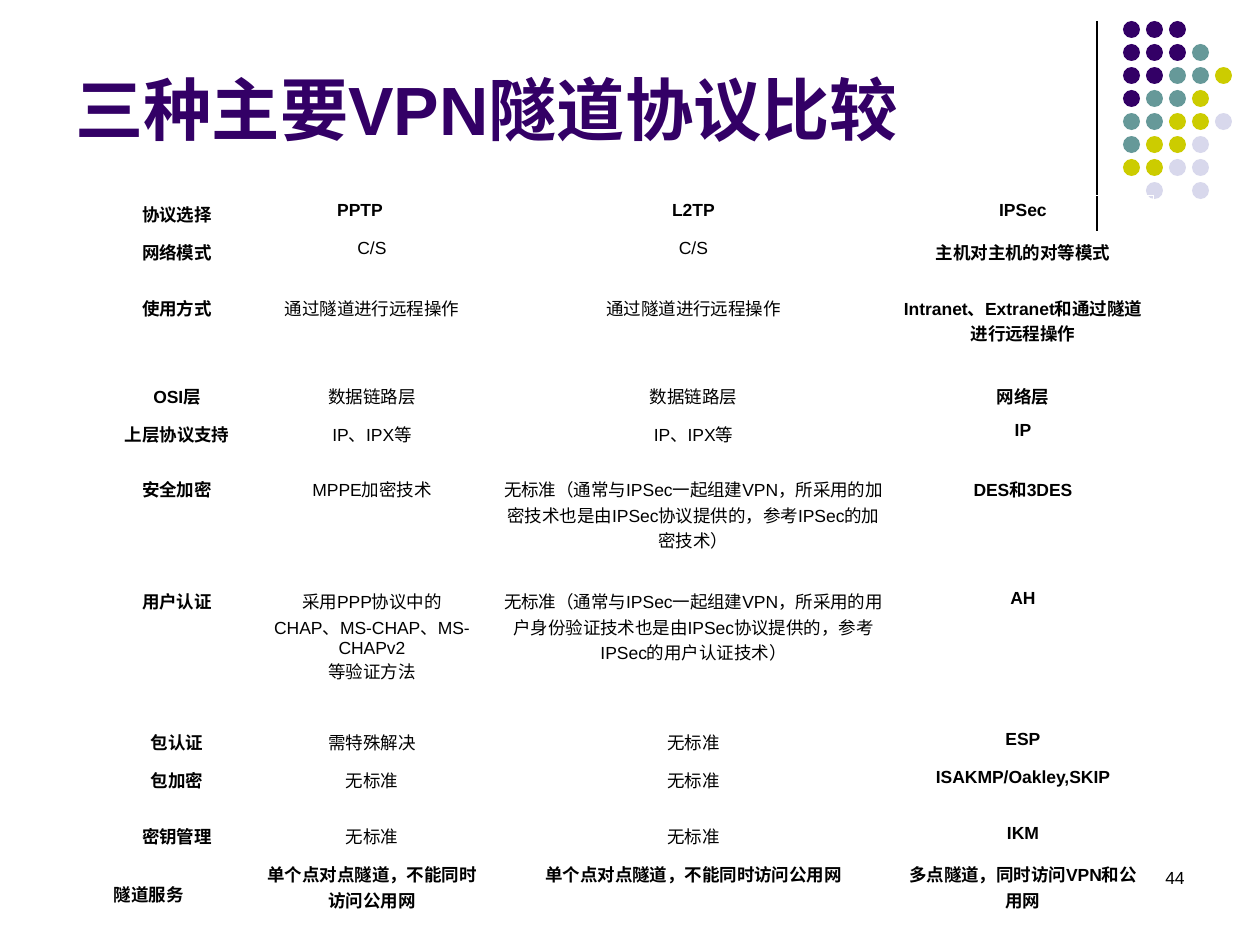
from lxml import etree
from pptx import Presentation
from pptx.dml.color import RGBColor
from pptx.enum.shapes import MSO_CONNECTOR, MSO_SHAPE
from pptx.enum.text import MSO_ANCHOR, PP_ALIGN
from pptx.oxml.ns import qn
from pptx.util import Pt

PX = 914400 // 126
FONT = "Arial"
BLACK, WHITE, PURPLE = "000000", "FFFFFF", "330066"

TITLE = "三种主要VPN隧道协议比较"
PAGE = "44"

DOT_COLORS = {"P": PURPLE, "T": "669999", "Y": "CCCC00", "L": "D8D8EC"}
DOT_ROWS = ["PPP", "PPPT", "PPTTY", "PTTY", "TTYYL", "TYYL", "YYLL", " L L"]
DOT_LEFT, DOT_TOP, DOT_PITCH, DOT_SIZE = 1123, 21, 23, 17

TABLE_LEFT, TABLE_TOP = 104, 195
COL_WIDTHS = [146, 244, 399, 260]
ROW_HEIGHTS = [38, 56, 88, 38, 56, 112, 141, 38, 56, 38, 84]
ROWS = [
    ("协议选择", "PPTP", "L2TP", "IPSec"),
    ("网络模式", "C/S", "C/S", "主机对主机的对等模式"),
    ("使用方式", "通过隧道进行远程操作", "通过隧道进行远程操作",
     "Intranet、Extranet和通过隧道\n进行远程操作"),
    ("OSI层", "数据链路层", "数据链路层", "网络层"),
    ("上层协议支持", "IP、IPX等", "IP、IPX等", "IP"),
    ("安全加密", "MPPE加密技术",
     "无标准（通常与IPSec一起组建VPN，所采用的加密技术也是由IPSec协议提供的，参考IPSec的加密技术）",
     "DES和3DES"),
    ("用户认证", "采用PPP协议中的\nCHAP、MS-CHAP、MS-CHAPv2\n等验证方法",
     "无标准（通常与IPSec一起组建VPN，所采用的用户身份验证技术也是由IPSec协议提供的，参考IPSec的用户认证技术）",
     "AH"),
    ("包认证", "需特殊解决", "无标准", "ESP"),
    ("包加密", "无标准", "无标准", "ISAKMP/Oakley,SKIP"),
    ("密钥管理", "无标准", "无标准", "IKM"),
    ("隧道服务", "单个点对点隧道，不能同时访问公用网",
     "单个点对点隧道，不能同时访问公用网", "多点隧道，同时访问VPN和公用网"),
]
LAST = len(ROWS) - 1
THIN, THICK = 0.45, 1.47


def px(n):
    return n * PX


def rgb(color):
    return RGBColor.from_string(color)


def style(p, size, color=BLACK, bold=False, align=PP_ALIGN.LEFT):
    p.alignment = align
    p.font.name = FONT
    p.font.size = Pt(size)
    p.font.bold = bold
    p.font.color.rgb = rgb(color)


def add_text(shapes, box, text, anchor=MSO_ANCHOR.TOP, **look):
    tf = shapes.add_textbox(*map(px, box)).text_frame
    tf.word_wrap = True
    tf.vertical_anchor = anchor
    tf.text = text
    style(tf.paragraphs[0], **look)


def set_borders(cell, top, bottom):
    """Draw white borders; tcPr needs its lines ahead of its fill."""
    tc_pr = cell._tc.get_or_add_tcPr()
    widths = {"a:lnL": THIN, "a:lnR": THIN, "a:lnT": top, "a:lnB": bottom}
    for i, (tag, width) in enumerate(widths.items()):
        ln = etree.Element(qn(tag), w=str(Pt(width)))
        fill = etree.SubElement(ln, qn("a:solidFill"))
        etree.SubElement(fill, qn("a:srgbClr"), val=WHITE)
        tc_pr.insert(i, ln)


def add_dots(shapes):
    group = shapes.add_group_shape().shapes
    for r, row in enumerate(DOT_ROWS):
        for c, key in enumerate(row):
            if key == " ":
                continue
            dot = group.add_shape(
                MSO_SHAPE.OVAL, px(DOT_LEFT + c * DOT_PITCH),
                px(DOT_TOP + r * DOT_PITCH), px(DOT_SIZE), px(DOT_SIZE))
            dot.shadow.inherit = False
            dot.fill.solid()
            dot.fill.fore_color.rgb = rgb(DOT_COLORS[key])
            dot.line.fill.background()


def add_comparison(shapes):
    table = shapes.add_table(
        len(ROWS), len(COL_WIDTHS), px(TABLE_LEFT), px(TABLE_TOP),
        px(sum(COL_WIDTHS)), px(sum(ROW_HEIGHTS))).table
    table.first_row = table.horz_banding = False
    for column, width in zip(table.columns, COL_WIDTHS):
        column.width = px(width)
    for r, (row, height) in enumerate(zip(ROWS, ROW_HEIGHTS)):
        table.rows[r].height = px(height)
        for c, text in enumerate(row):
            cell = table.cell(r, c)
            cell.text = text
            cell.margin_left = cell.margin_right = px(10)
            cell.margin_top = cell.margin_bottom = px(6)
            cell.fill.background()
            set_borders(cell, THICK if r in (1, LAST) else THIN,
                        THICK if r in (0, LAST - 1) else THIN)
            bold = r in (0, LAST) or c in (0, 3)
            for p in cell.text_frame.paragraphs:
                style(p, 10, bold=bold, align=PP_ALIGN.CENTER)
    table.cell(0, 1).margin_right = px(34)
    service = table.cell(LAST, 0)
    service.margin_top = px(26)
    service.text_frame.paragraphs[0].alignment = PP_ALIGN.JUSTIFY


def main():
    prs = Presentation()
    prs.slide_width, prs.slide_height = px(1260), px(945)
    shapes = prs.slides.add_slide(prs.slide_layouts[6]).shapes

    rule = shapes.add_connector(
        MSO_CONNECTOR.STRAIGHT, px(1097), px(21), px(1097), px(231))
    rule.line.color.rgb = rgb(BLACK)
    rule.line.width = Pt(0.75)
    etree.SubElement(rule._element.spPr, qn("a:effectLst"))

    add_dots(shapes)
    add_text(shapes, (63, 16, 1040, 139), TITLE, MSO_ANCHOR.BOTTOM,
             size=39, color=PURPLE, bold=True)
    add_comparison(shapes)
    add_text(shapes, (903, 861, 294, 63), PAGE, size=10, align=PP_ALIGN.RIGHT)
    prs.save("out.pptx")


if __name__ == "__main__":
    main()
